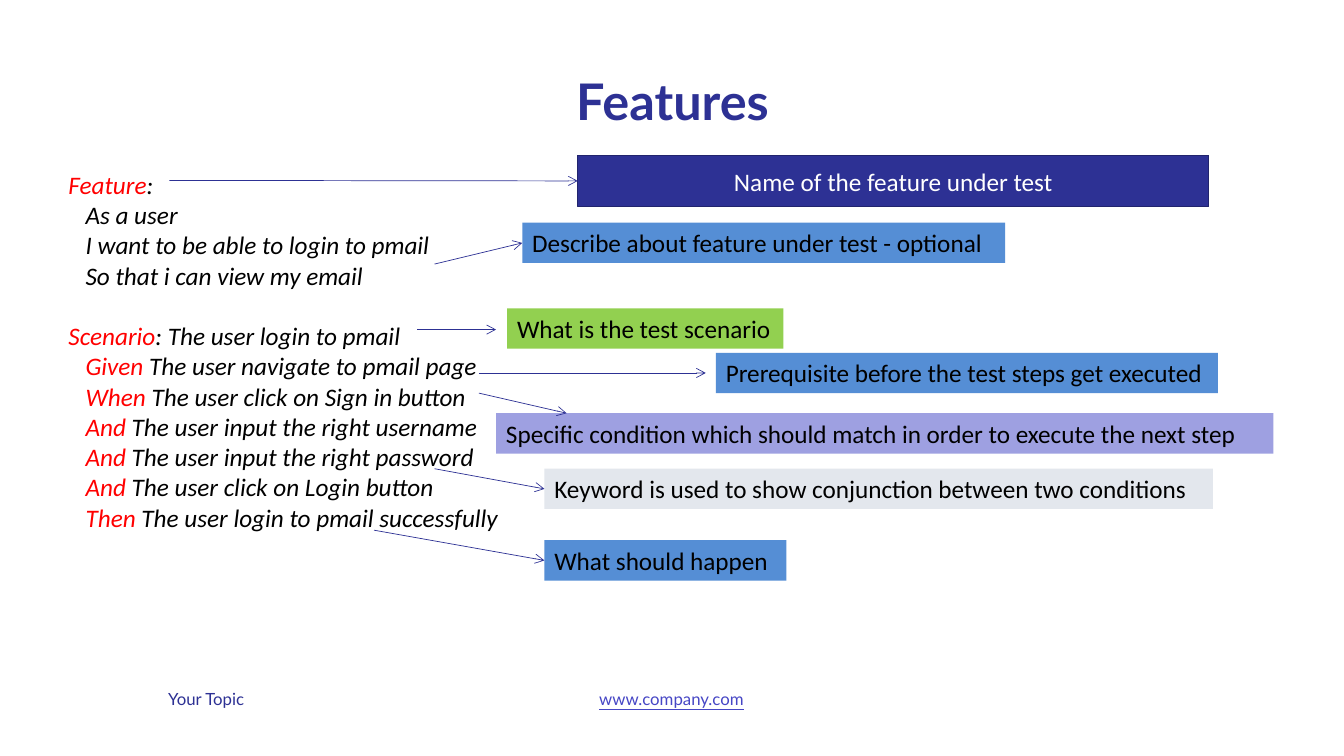
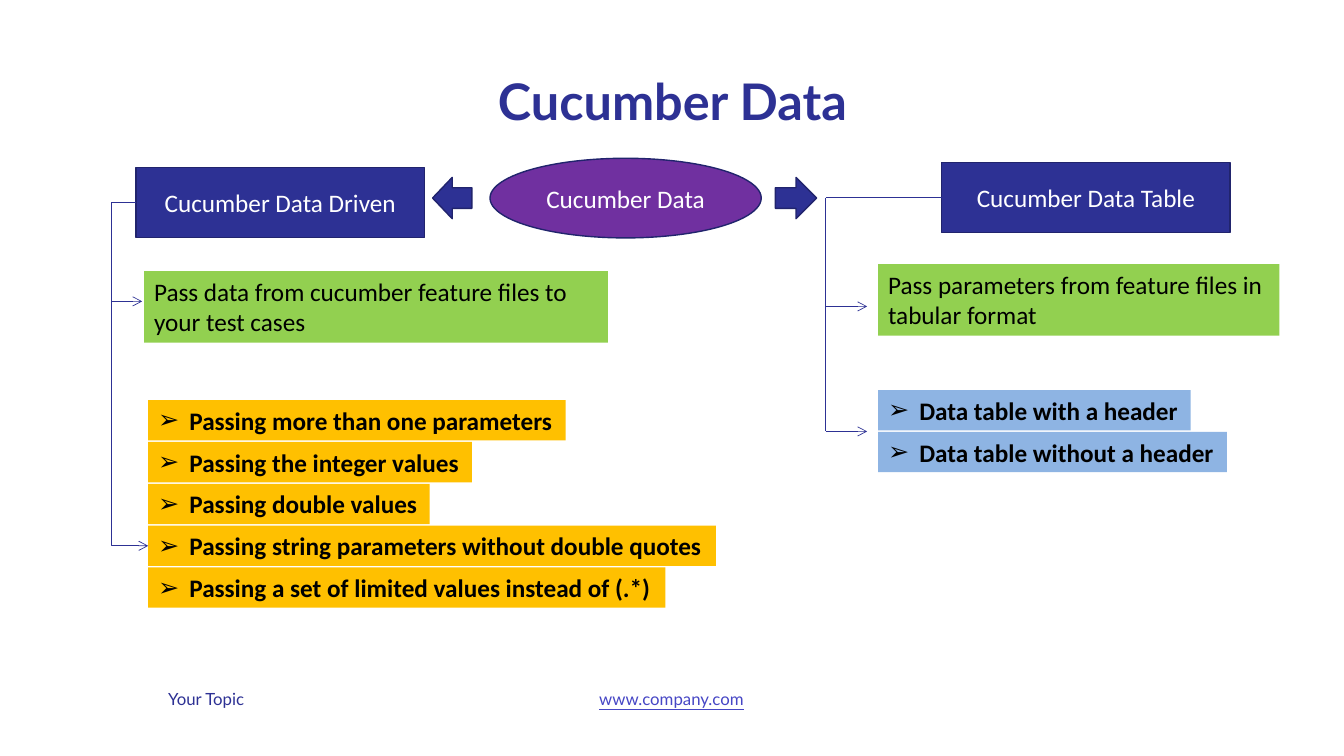
from lxml.etree import SubElement
from pptx import Presentation
from pptx.dml.color import RGBColor
from pptx.enum.shapes import MSO_CONNECTOR as Connector, MSO_SHAPE as Shape
from pptx.enum.text import MSO_ANCHOR as Anchor, PP_ALIGN as Align
from pptx.oxml.ns import qn
from pptx.util import Inches, Pt

COLORS = {
    "navy": "2D3194", "outline": "21246D", "link": "4646C5", "red": "FF0000",
    "black": "000000", "white": "FFFFFF", "blue": "558ED5", "sky": "8EB4E3",
    "green": "92D050", "lilac": "9EA0E1", "gray": "E3E7ED", "amber": "FFC000",
    "purple": "7030A0",
}
LEFT_SIDE = 1
LABEL_HEIGHT = 0.4
ROW_PITCH = 0.83 / 2


def color(name):
    return RGBColor.from_string(COLORS[name])


def inches(values):
    return [Inches(value) for value in values]


class Deck:
    heading_font = "Lato"
    body_font = "Calibri"
    body_size = 18

    def __init__(self):
        self.presentation = Presentation()
        self.presentation.slide_width = Inches(13.33)
        self.presentation.slide_height = Inches(7.5)
        self.layout = self.presentation.slide_layouts[6 - 1]
        self.slide = None
        for placeholder in list(self.layout.placeholders):
            if placeholder.placeholder_format.idx:
                placeholder.element.getparent().remove(placeholder.element)
        title = self.layout.placeholders[0]
        title.left, title.top, title.width, title.height = inches((1.67, 0.7, 10, 0.65))
        title.text_frame.vertical_anchor = Anchor.BOTTOM

    def add_slide(self, title):
        first = self.slide is None
        self.slide = self.presentation.slides.add_slide(self.layout)
        if first:
            self.add_footers()
        text_frame = self.slide.shapes.title.text_frame
        text_frame.text = title
        paragraph = text_frame.paragraphs[0]
        paragraph.alignment = Align.CENTER
        paragraph.line_spacing = Pt(43)
        self.style(paragraph.runs[0], "navy", 36, self.heading_font, bold=True)

    def add_footers(self):
        topic = self.text_box("Your Topic", (1.57, 6.78, 2.08, 0.3))
        address = self.text_box("www.company.com", (5.62, 6.78, 2.08, 0.3))
        address.text_frame.paragraphs[0].alignment = Align.CENTER
        for box, ink in ((topic, "navy"), (address, "link")):
            run = box.text_frame.paragraphs[0].runs[0]
            self.style(run, ink, 12, self.heading_font)
            run.font.underline = ink == "link"
            self.layout.shapes.element.append(box.element)

    def style(self, run, ink, size=body_size, font=body_font, bold=False, italic=False):
        run.font.name = font
        run.font.size = Pt(size)
        run.font.bold = bold
        run.font.italic = italic
        run.font.color.rgb = color(ink)

    def text_box(self, text, place):
        box = self.slide.shapes.add_textbox(*inches(place))
        box.text_frame.word_wrap = True
        box.text_frame.text = text
        return box

    def indent(self, paragraph, margin, hanging=0):
        properties = paragraph._p.get_or_add_pPr()
        properties.set("marL", str(Inches(margin)))
        properties.set("indent", str(-Inches(hanging)))
        return properties

    def label(self, text, place, fill, bullet=False):
        box = self.text_box(text, place)
        box.fill.solid()
        box.fill.fore_color.rgb = color(fill)
        paragraph = box.text_frame.paragraphs[0]
        self.style(paragraph.runs[0], "black", bold=bullet)
        if bullet:
            properties = self.indent(paragraph, 0.31, 0.31)
            SubElement(properties, qn("a:buFont"), typeface="Arial")
            SubElement(properties, qn("a:buChar"), char="➢")
        return box

    def bullet_labels(self, rows, left, top, fill):
        return [
            self.label(text, (left, top + index * ROW_PITCH, width, LABEL_HEIGHT), fill, True)
            for index, (text, width) in enumerate(rows)
        ]

    def block(self, kind, place, fill="navy", text=""):
        shape = self.slide.shapes.add_shape(kind, *inches(place))
        shape.shadow.inherit = False
        shape.fill.solid()
        shape.fill.fore_color.rgb = color(fill)
        shape.line.color.rgb = color("outline")
        shape.line.width = Pt(1)
        if text:
            shape.text_frame.text = text
            shape.text_frame.vertical_anchor = Anchor.MIDDLE
            paragraph = shape.text_frame.paragraphs[0]
            paragraph.alignment = Align.CENTER
            self.style(paragraph.runs[0], "white")
        return shape

    def line(self, start, end, source=None, target=None, arrow=True, bend=None):
        kind = Connector.STRAIGHT if bend is None else Connector.ELBOW
        connector = self.slide.shapes.add_connector(kind, *inches(start + end))
        if source is not None:
            connector.begin_connect(source, LEFT_SIDE)
        if target is not None:
            connector.end_connect(target, LEFT_SIDE)
        connector.line.color.rgb = color("navy")
        connector.line.width = Pt(0.5)
        properties = connector.element.spPr
        if arrow:
            SubElement(properties.find(qn("a:ln")), qn("a:tailEnd"), type="arrow")
        SubElement(properties, qn("a:effectLst"))
        if bend is not None:
            guides = properties.find(qn("a:prstGeom")).get_or_add_avLst()
            SubElement(guides, qn("a:gd"), name="adj1", fmla=f"val {round(bend * 100000)}")

    def scenario(self, lines, place):
        box = self.text_box("\n".join(keyword for keyword, _ in lines), place)
        for paragraph, (keyword, rest) in zip(box.text_frame.paragraphs, lines):
            for run in paragraph.runs:
                self.style(run, "red", italic=True)
            run = paragraph.add_run()
            run.text = rest
            self.style(run, "black", italic=True)
            if not rest.startswith(":"):
                self.indent(paragraph, 0.17)
            if keyword == "Scenario":
                paragraph.space_before = Pt(21.6)


def features_slide(deck):
    deck.add_slide("Features")
    deck.scenario([
        ("Feature", ":"),
        ("", "As a user"),
        ("", "I want to be able to login to pmail"),
        ("", "So that i can view my email"),
        ("Scenario", ": The user login to pmail"),
        ("Given", " The user navigate to pmail page"),
        ("When", " The user click on Sign in button"),
        ("And", " The user input the right username"),
        ("And", " The user input the right password"),
        ("And", " The user click on Login button"),
        ("Then", " The user login to pmail successfully"),
    ], (0.58, 1.63, 5.15, 3.74))

    banner = deck.block(Shape.RECTANGLE, (5.73, 1.54, 6.26, 0.51),
                        text="Name of the feature under test")
    deck.line((1.68, 1.79), (5.73, 1.79), target=banner)

    notes = [
        ("Describe about feature under test - optional", 5.18, 2.21, 4.79, "blue",
         (4.31, 2.62), None),
        ("What is the test scenario", 5.03, 3.06, 2.74, "green", (4.14, 3.27), (4.92, 3.27)),
        ("Prerequisite before the test steps get executed", 7.1, 3.5, 4.98, "blue",
         (4.75, 3.7), (7, 3.7)),
        ("Specific condition which should match in order to execute the next step",
         4.92, 4.1, 7.71, "lilac", (4.75, 3.9), (5.62, 4.1)),
        ("Keyword is used to show conjunction between two conditions", 5.4, 4.65, 6.63, "gray",
         (4.31, 4.65), None),
        ("What should happen", 5.4, 5.36, 2.4, "blue", (3.71, 5.26), None),
    ]
    for text, left, top, width, fill, start, end in notes:
        note = deck.label(text, (left, top, width, LABEL_HEIGHT), fill)
        if end is None:
            deck.line(start, (left, top + LABEL_HEIGHT / 2), target=note)
        else:
            deck.line(start, end)


def data_slide(deck):
    deck.add_slide("Cucumber Data")
    deck.block(Shape.OVAL, (4.86, 1.57, 2.69, 0.79), "purple", "Cucumber Data")
    driven = deck.block(Shape.RECTANGLE, (1.35, 1.66, 2.86, 0.7), text="Cucumber Data Driven")
    table = deck.block(Shape.RECTANGLE, (9.34, 1.61, 2.86, 0.7), text="Cucumber Data Table")
    deck.block(Shape.LEFT_ARROW, (4.29, 1.76, 0.39, 0.41))
    deck.block(Shape.RIGHT_ARROW, (7.69, 1.76, 0.41, 0.41))

    deck.label("Pass data from cucumber feature files to your test cases",
               (1.43, 2.69, 4.6, 0.71), "green")
    deck.label("Pass parameters from feature files in tabular format",
               (8.71, 2.62, 3.98, 0.71), "green")
    driven_rows = deck.bullet_labels([
        ("Passing more than one parameters", 4.14),
        ("Passing the integer values", 3.21),
        ("Passing double values", 2.79),
        ("Passing string parameters without double quotes", 5.63),
        ("Passing a set of limited values instead of (.*)", 5.13),
    ], 1.47, 3.97, "amber")
    deck.bullet_labels([
        ("Data table with a header", 3.1),
        ("Data table without a header", 3.46),
    ], 8.71, 3.87, "sky")

    deck.line((1.35, 2.01), (1.47, 5.42), driven, driven_rows[3], bend=-2.05)
    deck.line((1.11, 2.99), (1.41, 2.99))
    trunk = 8.19
    deck.line((9.34, 1.96), (trunk, 1.96), source=table, arrow=False)
    deck.line((trunk, 1.96), (trunk, 4.28), arrow=False)
    for branch in (3.04, 4.28):
        deck.line((trunk, branch), (8.6, branch))


def main():
    deck = Deck()
    features_slide(deck)
    data_slide(deck)
    deck.presentation.save("out.pptx")


if __name__ == "__main__":
    main()
